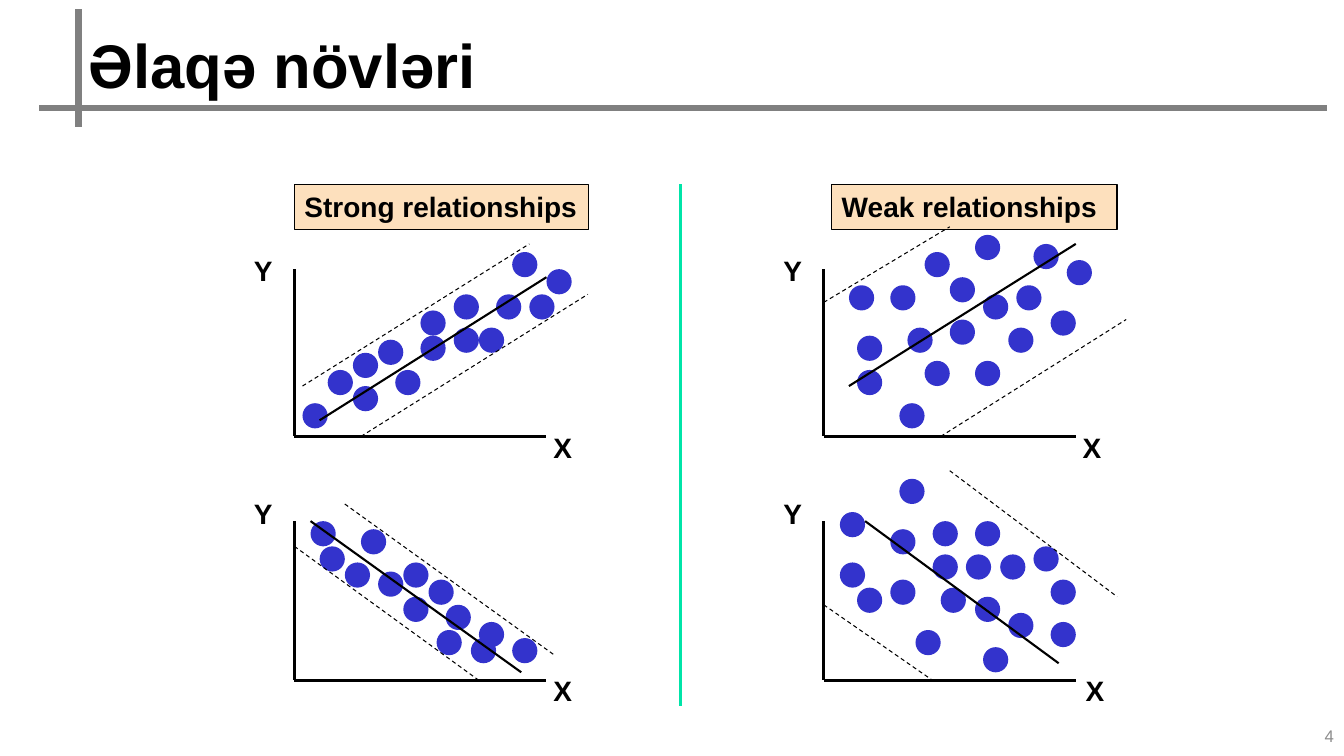
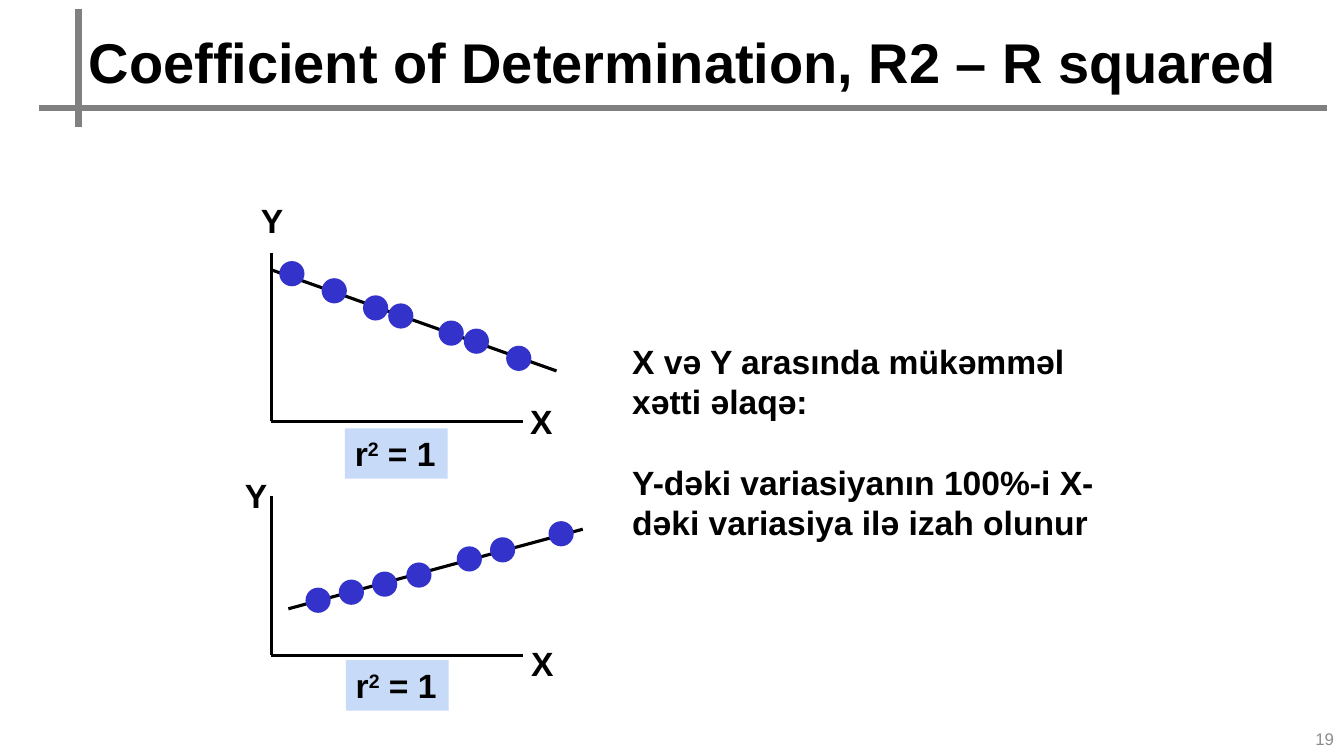
"""Build two slides on the kinds and the strength of linear relationships."""
from dataclasses import dataclass

from lxml import etree
from pptx import Presentation
from pptx import util as u
from pptx.dml.color import RGBColor
from pptx.enum import dml, shapes, text
from pptx.oxml import ns

FONT = "Arial"
BLACK = RGBColor(0x00, 0x00, 0x00)
RULE_GREY = RGBColor(0x80, 0x80, 0x80)
NUMBER_GREY = RGBColor(0x8C, 0x8C, 0x8C)
DOT_BLUE = RGBColor(0x33, 0x33, 0xCC)
HEADING_PEACH = RGBColor(0xFD, 0xE0, 0xBD)
RESULT_BLUE = RGBColor(0xC7, 0xDA, 0xF7)
DIVIDER_GREEN = RGBColor(0x00, 0xE4, 0xA8)

TITLE_ONLY, TITLE_AND_CONTENT = 5, 1
DOT_SIZE = 0.25
AXIS_LENGTH = 2.5


@dataclass
class Plot:
    """Places one scatter plot on a slide, in inches."""

    left: float
    top: float
    bottom: float
    y_label: tuple
    x_label: tuple
    trend: tuple
    dots: list
    bounds: tuple = ()


RELATIONSHIP_PLOTS = [
    Plot(2.92, 2.67, 4.33, (2.42, 2.47), (5.39, 4.22), (3.17, 4.17, 5.42, 2.75),
         [(3, 4), (3.25, 3.67), (5.08, 2.5), (5.25, 2.92), (3.5, 3.83),
          (5.42, 2.67), (4.5, 3.25), (4.5, 2.92), (4.92, 2.92), (4.17, 3.08),
          (3.5, 3.5), (3.75, 3.37), (4.75, 3.25), (4.17, 3.33), (3.92, 3.67)],
         ((3, 3.83, 5.25, 2.42), (3.58, 4.33, 5.83, 2.92))),
    Plot(2.92, 5.17, 6.75, (2.42, 4.88), (5.39, 6.63), (3.08, 5.17, 5.17, 6.67),
         [(4.67, 6.33), (3.17, 5.42), (5.08, 6.33), (3.58, 5.25), (4.42, 6),
          (4.75, 6.17), (4, 5.58), (3.08, 5.17), (3.42, 5.58), (3.75, 5.67),
          (4.33, 6.25), (4.25, 5.75), (4, 5.92)],
         ((3.42, 5, 5.5, 6.5), (2.92, 5.42, 4.75, 6.75))),
    Plot(8.17, 2.67, 4.33, (7.67, 2.47), (10.64, 4.22), (8.42, 3.83, 10.67, 2.42),
         [(9.42, 2.75), (8.5, 3.67), (9.67, 3.58), (10.08, 2.83), (8.83, 2.83),
          (8.92, 4), (9.17, 3.58), (9.75, 2.92), (9.17, 2.5), (8.5, 3.33),
          (8.42, 2.83), (9, 3.25), (10, 3.25), (9.42, 3.17), (9.67, 2.33),
          (10.58, 2.58), (10.42, 3.08), (10.25, 2.42)],
         ((8.17, 3, 9.42, 2.25), (9.33, 4.33, 11.17, 3.17))),
    Plot(8.17, 5.17, 6.75, (7.67, 4.88), (10.67, 6.63), (8.58, 5.17, 10.5, 6.58),
         [(8.33, 5.58), (8.33, 5.08), (8.83, 5.75), (9.75, 6.42), (8.5, 5.83),
          (9.25, 5.17), (9.67, 5.92), (9.58, 5.5), (9.25, 5.5), (8.83, 5.25),
          (9.92, 5.5), (9.33, 5.83), (9.08, 6.25), (10, 6.08), (10.42, 5.75),
          (10.25, 5.42), (10.42, 6.17), (9.67, 5.17), (8.92, 4.75)],
         ((9.42, 4.67, 11.08, 5.92), (8.17, 6, 9.25, 6.75))),
]

PERFECT_PLOTS = [
    Plot(2.69, 2.51, 4.18, (2.49, 1.93), (5.16, 3.93), (2.7, 2.68, 5.52, 3.68),
         [(2.77, 2.59), (3.19, 2.76), (3.6, 2.93), (3.85, 3.01),
          (4.35, 3.18), (4.6, 3.26), (5.02, 3.43)]),
    Plot(2.69, 4.92, 6.5, (2.33, 4.66), (5.17, 6.33), (2.86, 6.04, 5.78, 5.25),
         [(3.03, 5.83), (3.36, 5.75), (3.69, 5.67), (4.03, 5.58),
          (4.53, 5.42), (4.86, 5.33), (5.44, 5.17)]),
]


def place(shape, left, top, width, height):
    """Move and size a shape, in inches."""
    shape.left, shape.top = u.Inches(left), u.Inches(top)
    shape.width, shape.height = u.Inches(width), u.Inches(height)


def add_run(paragraph, words, size, color=BLACK, bold=True):
    """Add one formatted run and return it."""
    run = paragraph.add_run()
    run.text = words
    run.font.name, run.font.size, run.font.bold = FONT, u.Pt(size), bold
    run.font.color.rgb = color
    return run


def add_line(slide, ends, width, color=BLACK, dashed=False):
    """Draw a straight line between two points."""
    line = slide.shapes.add_connector(
        shapes.MSO_CONNECTOR.STRAIGHT, *(u.Inches(value) for value in ends))
    line.line.color.rgb = color
    line.line.width = u.Pt(width)
    if dashed:
        line.line.dash_style = dml.MSO_LINE.DASH
    etree.SubElement(line._element.spPr, ns.qn("a:effectLst"))


def add_filled(slide, kind, box, fill, outlined=False):
    """Draw a flat preset shape and return it."""
    shape = slide.shapes.add_shape(kind, *(u.Inches(value) for value in box))
    shape.shadow.inherit = False
    shape.fill.solid()
    shape.fill.fore_color.rgb = fill
    if outlined:
        shape.line.color.rgb = BLACK
        shape.line.width = u.Pt(1)
    else:
        shape.line.fill.background()
    return shape


def add_label_box(slide, box, fill, outlined=False):
    """Draw a filled rectangle and return its left-aligned paragraph."""
    shape = add_filled(slide, shapes.MSO_SHAPE.RECTANGLE, box, fill, outlined)
    frame = shape.text_frame
    frame.word_wrap = False
    frame.vertical_anchor = text.MSO_ANCHOR.TOP
    frame.paragraphs[0].alignment = text.PP_ALIGN.LEFT
    return frame.paragraphs[0]


def add_text_box(slide, box):
    """Add an empty text box and return its frame."""
    shape = slide.shapes.add_textbox(*(u.Inches(value) for value in box))
    return shape.text_frame


def add_dots(slide, dots):
    """Draw the data points of a plot."""
    for left, top in dots:
        add_filled(slide, shapes.MSO_SHAPE.OVAL, (left, top, DOT_SIZE, DOT_SIZE), DOT_BLUE)


def add_axes(slide, plot, label_size):
    """Draw both axes of a plot with their letters."""
    add_line(slide, (plot.left, plot.top, plot.left, plot.bottom), 2)
    add_line(slide, (plot.left, plot.bottom, plot.left + AXIS_LENGTH, plot.bottom), 2)
    for letter, corner in (("Y", plot.y_label), ("X", plot.x_label)):
        frame = add_text_box(slide, (*corner, 0.42, 0.45))
        frame.word_wrap = False
        add_run(frame.paragraphs[0], letter, label_size)


def add_slide(presentation, layout, title, title_size, number, number_top):
    """Add a slide with the shared title, crossed rules and number."""
    slide = presentation.slides.add_slide(presentation.slide_layouts[layout])
    place(slide.shapes.title, 0.78, 0.22, 12.5, 0.8)
    frame = slide.shapes.title.text_frame
    frame.auto_size = text.MSO_AUTO_SIZE.NONE
    frame.vertical_anchor = text.MSO_ANCHOR.TOP
    frame.paragraphs[0].alignment = text.PP_ALIGN.LEFT
    add_run(frame.paragraphs[0], title, title_size)
    for ends in ((0.78, 0.09, 0.78, 1.26), (0.39, 1.07, 13.16, 1.07)):
        add_line(slide, ends, 4.5, RULE_GREY)
    frame = add_text_box(slide, (10.33, number_top, 3, 0.4))
    frame.word_wrap = True
    frame.vertical_anchor = text.MSO_ANCHOR.MIDDLE
    frame.paragraphs[0].alignment = text.PP_ALIGN.RIGHT
    add_run(frame.paragraphs[0], number, 12, NUMBER_GREY, False)
    return slide


def fill_body(body, statements):
    """Write unbulleted statements, one line apart, into the body."""
    place(body, 6.17, 3.33, 4.83, 2.12)
    frame = body.text_frame
    frame.auto_size = text.MSO_AUTO_SIZE.NONE
    for index, statement in enumerate(statements):
        paragraph = frame.add_paragraph() if index else frame.paragraphs[0]
        paragraph.line_spacing = u.Pt(28.8)
        paragraph.space_before = u.Pt(28.8 if index else 0)
        properties = paragraph._p.get_or_add_pPr()
        properties.set("marL", "0")
        properties.set("indent", "0")
        etree.SubElement(properties, ns.qn("a:buNone"))
        add_run(paragraph, statement, 24)


def build_relationships(presentation):
    """Compare strong and weak relationships."""
    slide = add_slide(presentation, TITLE_ONLY, "Əlaqə növləri", 44, "4", 7.1)
    for words, left, width in (("Strong relationships", 2.92, 2.92),
                               ("Weak relationships", 8.25, 2.83)):
        paragraph = add_label_box(slide, (left, 1.83, width, 0.45), HEADING_PEACH, True)
        add_run(paragraph, words, 20)
    add_line(slide, (6.75, 1.83, 6.75, 7), 2.25, DIVIDER_GREEN)
    for plot in RELATIONSHIP_PLOTS:
        add_axes(slide, plot, 20)
        add_dots(slide, plot.dots)
        for bound in plot.bounds:
            add_line(slide, bound, 0.75, dashed=True)
        add_line(slide, plot.trend, 1.5)


def build_determination(presentation):
    """Show two perfect fits and what they mean."""
    slide = add_slide(presentation, TITLE_AND_CONTENT,
                      "Coefficient of Determination, R2 – R squared", 40, "19", 7.13)
    for plot, corner in zip(PERFECT_PLOTS, ((3.42, 4.25), (3.43, 6.55))):
        add_axes(slide, plot, 24)
        add_line(slide, plot.trend, 2.25)
        add_dots(slide, plot.dots)
        paragraph = add_label_box(slide, (*corner, 1.02, 0.5), RESULT_BLUE)
        add_run(paragraph, "r", 24)
        exponent = add_run(paragraph, "2", 24)
        exponent._r.get_or_add_rPr().set("baseline", "30000")
        add_run(paragraph, " = 1", 24)
    fill_body(slide.placeholders[1], (
        "X və Y arasında mükəmməl xətti əlaqə:",
        "Y-dəki variasiyanın 100%-i X-dəki variasiya ilə izah olunur"))


def main():
    """Build and save the presentation."""
    presentation = Presentation()
    presentation.slide_width = u.Inches(13.33)
    presentation.slide_height = u.Inches(7.5)
    build_relationships(presentation)
    build_determination(presentation)
    presentation.save("out.pptx")


if __name__ == "__main__":
    main()
